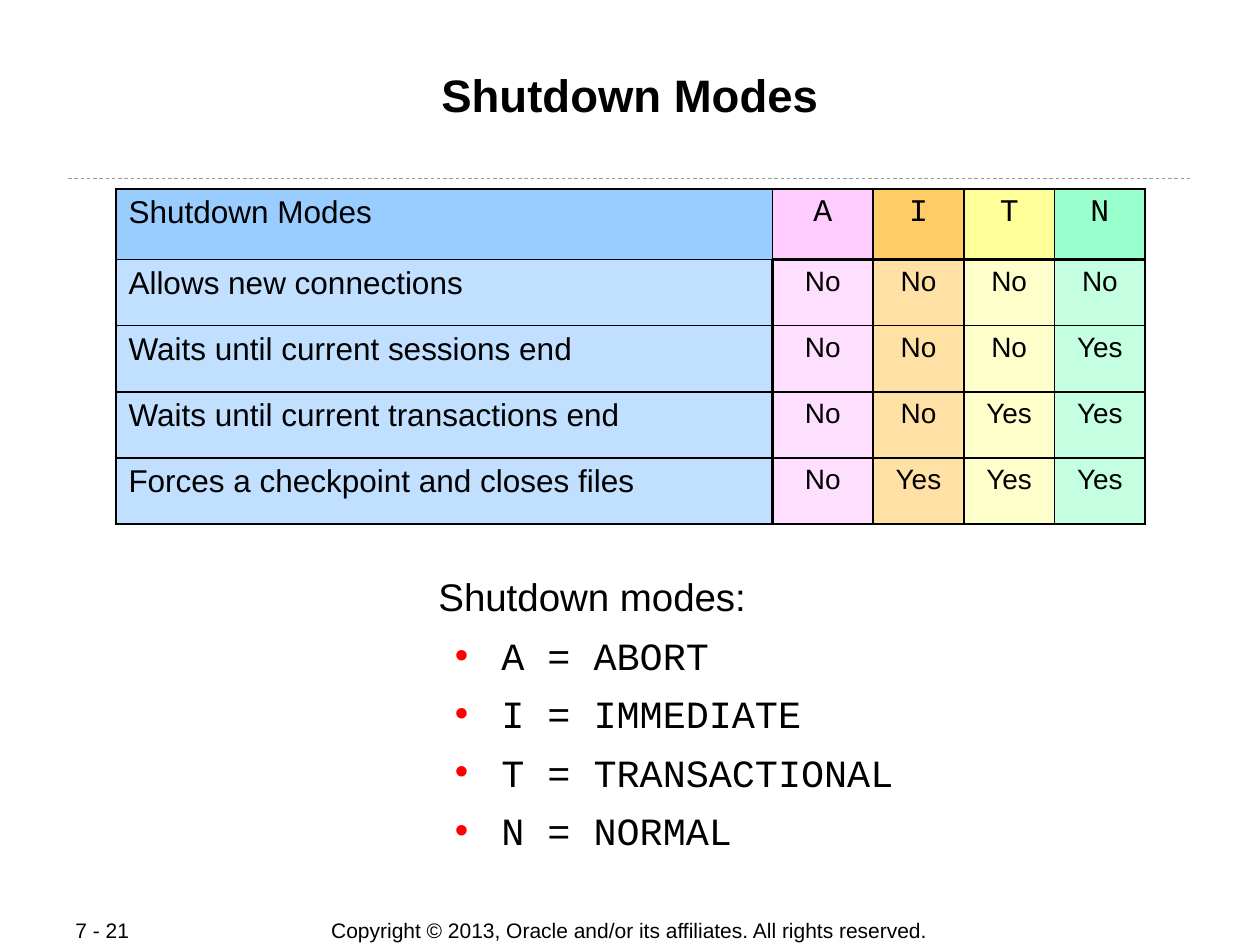
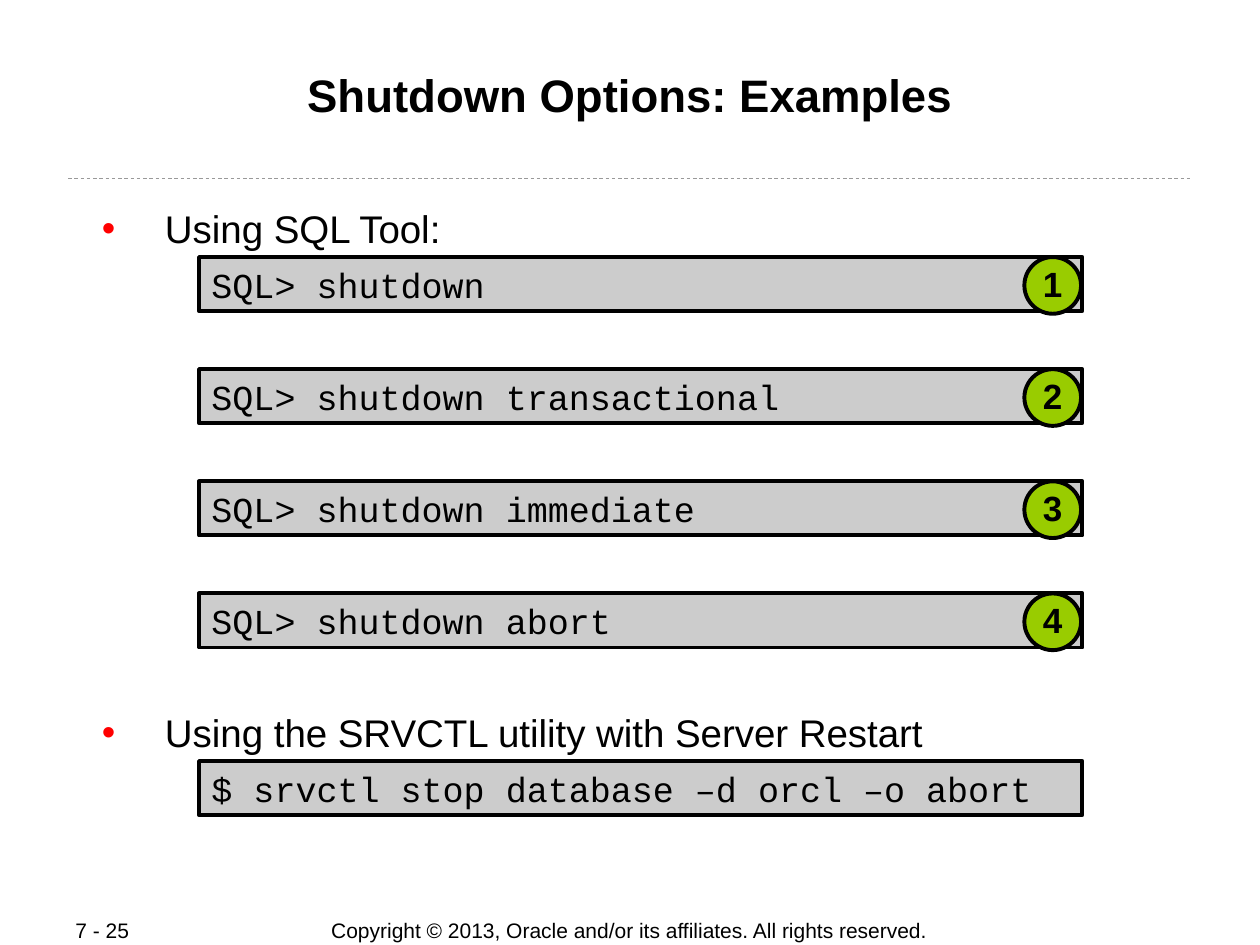
import pptx
import pptx.dml.color
import pptx.enum.dml
import pptx.enum.shapes
import pptx.enum.text
import pptx.oxml
import pptx.oxml.ns
import pptx.util
from lxml import etree

Inches = pptx.util.Inches
Pt = pptx.util.Pt
RGBColor = pptx.dml.color.RGBColor
ALIGN = pptx.enum.text.PP_ALIGN
ANCHOR = pptx.enum.text.MSO_ANCHOR
SHAPE = pptx.enum.shapes.MSO_SHAPE
qn = pptx.oxml.ns.qn

BLACK = RGBColor(0x00, 0x00, 0x00)
RULE_GRAY = RGBColor(0x99, 0x99, 0x99)
CODE_GRAY = RGBColor(0xCC, 0xCC, 0xCC)
BADGE_GREEN = RGBColor(0x99, 0xCC, 0x00)
BULLET_RED = RGBColor(0xFF, 0x00, 0x00)
HEADER_FILLS = [RGBColor.from_string(c) for c in
                ("99CCFF", "FFCCFF", "FFCC66", "FFFF99", "99FFCC")]
BODY_FILLS = [RGBColor.from_string(c) for c in
              ("C1E0FF", "FFDFFF", "FFE1A5", "FFFFCC", "C5FFE2")]

SANS = "Arial"
MONO = "Courier New"
COPYRIGHT = "Copyright © 2013, Oracle and/or its affiliates. All rights reserved."
THIN, THICK = 1.08, 2.21

MODES = [
    ("Shutdown Modes", "A", "I", "T", "N"),
    ("Allows new connections", "No", "No", "No", "No"),
    ("Waits until current sessions end", "No", "No", "No", "Yes"),
    ("Waits until current transactions end", "No", "No", "Yes", "Yes"),
    ("Forces a checkpoint and closes files", "No", "Yes", "Yes", "Yes"),
]
LEGEND = ["A = ABORT", "I = IMMEDIATE", "T = TRANSACTIONAL", "N = NORMAL"]
COMMANDS = ["shutdown", "shutdown transactional", "shutdown immediate", "shutdown abort"]


def set_bullet(p, margin, indent):
    """Give a paragraph a red round bullet with a hanging indent."""
    pPr = p._p.get_or_add_pPr()
    pPr.set("marL", str(Inches(margin)))
    pPr.set("indent", str(Inches(indent)))
    color = etree.SubElement(pPr, qn("a:buClr"))
    etree.SubElement(color, qn("a:srgbClr"), val=str(BULLET_RED))
    etree.SubElement(pPr, qn("a:buFont"), typeface=SANS)
    etree.SubElement(pPr, qn("a:buChar"), char="•")


def write(tf, text, size=22, font=SANS, bold=False, align=ALIGN.LEFT,
          before=None, bullet=None, new=False):
    """Write one formatted paragraph, in the first one or in a new one."""
    p = tf.add_paragraph() if new else tf.paragraphs[0]
    if bullet:
        set_bullet(p, *bullet)
    p.alignment = align
    if before is not None:
        p.space_before = Pt(before)
    r = p.add_run()
    r.text = text
    r.font.size = Pt(size)
    r.font.name = font
    r.font.bold = bold
    r.font.color.rgb = BLACK
    return p


def set_frame(tf, inset_x, inset_y, anchor=ANCHOR.TOP, wrap=True):
    """Set the insets, anchor and wrapping of a text frame."""
    tf.word_wrap = wrap
    tf.vertical_anchor = anchor
    tf.margin_left = tf.margin_right = Inches(inset_x)
    tf.margin_top = tf.margin_bottom = Inches(inset_y)


def add_text_box(slide, x, y, w, h, inset_x=0.01, inset_y=0.01, anchor=ANCHOR.TOP):
    """Add an empty text box and return its text frame."""
    tf = slide.shapes.add_textbox(Inches(x), Inches(y), Inches(w), Inches(h)).text_frame
    set_frame(tf, inset_x, inset_y, anchor)
    return tf


def add_outlined_shape(slide, kind, x, y, w, h, fill):
    """Add a filled shape with a black outline and no shadow."""
    sp = slide.shapes.add_shape(kind, Inches(x), Inches(y), Inches(w), Inches(h))
    sp.shadow.inherit = False
    sp.fill.solid()
    sp.fill.fore_color.rgb = fill
    sp.line.color.rgb = BLACK
    sp.line.width = Pt(2.25)
    return sp


def add_code_bar(slide, y, code):
    """Add a gray bar that holds one command line."""
    tf = add_outlined_shape(slide, SHAPE.RECTANGLE, 1.58, y, 7.01, 0.43, CODE_GRAY).text_frame
    set_frame(tf, 0.1, 0.05)
    write(tf, code, size=20, font=MONO)


def add_badge(slide, y, number):
    """Add a green numbered circle at the right end of a code bar."""
    tf = add_outlined_shape(slide, SHAPE.OVAL, 8.13, y, 0.45, 0.45, BADGE_GREEN).text_frame
    set_frame(tf, 0.05, 0.05, ANCHOR.MIDDLE, wrap=False)
    p = write(tf, str(number), size=20, bold=True, align=ALIGN.CENTER)
    p.line_spacing = 0.95


def add_rule(slide):
    """Add the dashed rule below the title."""
    line = slide.shapes.add_connector(pptx.enum.shapes.MSO_CONNECTOR.STRAIGHT,
                                      Inches(0.54), Inches(1.42), Inches(9.46), Inches(1.42))
    line.line.color.rgb = RULE_GRAY
    line.line.width = Pt(0.5)
    line.line.dash_style = pptx.enum.dml.MSO_LINE.DASH
    etree.SubElement(line._element.spPr, qn("a:effectLst"))


def add_base_slide(prs, title, page):
    """Add a blank slide with the shared title, rule and footers."""
    slide = prs.slides.add_slide(prs.slide_layouts[6])
    write(add_text_box(slide, 2.25, 7.28, 5.49, 0.21, 0.1, 0, ANCHOR.MIDDLE),
          COPYRIGHT, size=12, align=ALIGN.CENTER)
    add_rule(slide)
    write(add_text_box(slide, 0.5, 7.28, 1.06, 0.21, 0.1, 0, ANCHOR.MIDDLE), page, size=12)
    write(add_text_box(slide, 0.67, 0.52, 8.66, 0.9), title,
          size=26, bold=True, align=ALIGN.CENTER)
    return slide


def set_borders(cell, **widths):
    """Draw black cell borders with the given widths for L, R, T and B."""
    tcPr = cell._tc.get_or_add_tcPr()
    for i, side in enumerate("LRTB"):
        ln = etree.Element(qn("a:ln" + side), w=str(Pt(widths.get(side, THIN))))
        fill = etree.SubElement(ln, qn("a:solidFill"))
        etree.SubElement(fill, qn("a:srgbClr"), val=str(BLACK))
        tcPr.insert(i, ln)


def add_modes_table(slide):
    """Add the table that compares the shutdown modes."""
    widths = [5.21, 0.8, 0.72, 0.72, 0.72]
    heights = [0.56] + [2.1 / 4] * 4
    table = slide.shapes.add_table(len(heights), len(widths), Inches(0.92), Inches(1.5),
                                   Inches(sum(widths)), Inches(sum(heights))).table
    table.first_row = table.horz_banding = False
    for col, w in zip(table.columns, widths):
        col.width = Inches(w)
    for i, (row, h) in enumerate(zip(table.rows, heights)):
        row.height = Inches(h)
        for j, text in enumerate(MODES[i]):
            cell = table.cell(i, j)
            cell.fill.solid()
            cell.fill.fore_color.rgb = (BODY_FILLS if i else HEADER_FILLS)[j]
            write(cell.text_frame, text, size=16 if i and j else 18,
                  font=MONO if j and not i else SANS,
                  align=ALIGN.CENTER if j else ALIGN.LEFT)
            set_borders(cell,
                        L=THICK if i and j == 1 else THIN,
                        R=THICK if i and j == 0 else THIN,
                        T=THICK if j and i == 1 else THIN,
                        B=THICK if j and i == 0 else THIN)


def build_modes_slide(prs):
    """Build the slide with the table of modes and its legend."""
    slide = add_base_slide(prs, "Shutdown Modes", "7 - 21")
    tf = add_text_box(slide, 3.47, 4.54, 3.9, 2.17)
    write(tf, "Shutdown modes:")
    for text in LEGEND:
        write(tf, text, font=MONO, before=7, bullet=(0.5, -0.37), new=True)
    add_modes_table(slide)


def build_examples_slide(prs):
    """Build the slide with the shutdown commands."""
    slide = add_base_slide(prs, "Shutdown Options: Examples", "7 - 25")
    tf = add_text_box(slide, 0.67, 1.62, 8.66, 4.4)
    write(tf, "Using SQL Tool:", bullet=(0.63, -0.5))
    write(tf, "Using the SRVCTL utility with Server Restart",
          before=261.5, bullet=(0.63, -0.5), new=True)
    for i, command in enumerate(COMMANDS):
        y = 2.04 + 0.89 * i
        add_code_bar(slide, y, "SQL> " + command)
        add_badge(slide, y, i + 1)
    add_code_bar(slide, 6.04, "$ srvctl stop database –d orcl –o abort")


def main():
    """Build and save the presentation."""
    prs = pptx.Presentation()
    prs.slide_width = Inches(10)
    prs.slide_height = Inches(7.5)
    build_modes_slide(prs)
    build_examples_slide(prs)
    prs.save("out.pptx")


if __name__ == "__main__":
    main()
